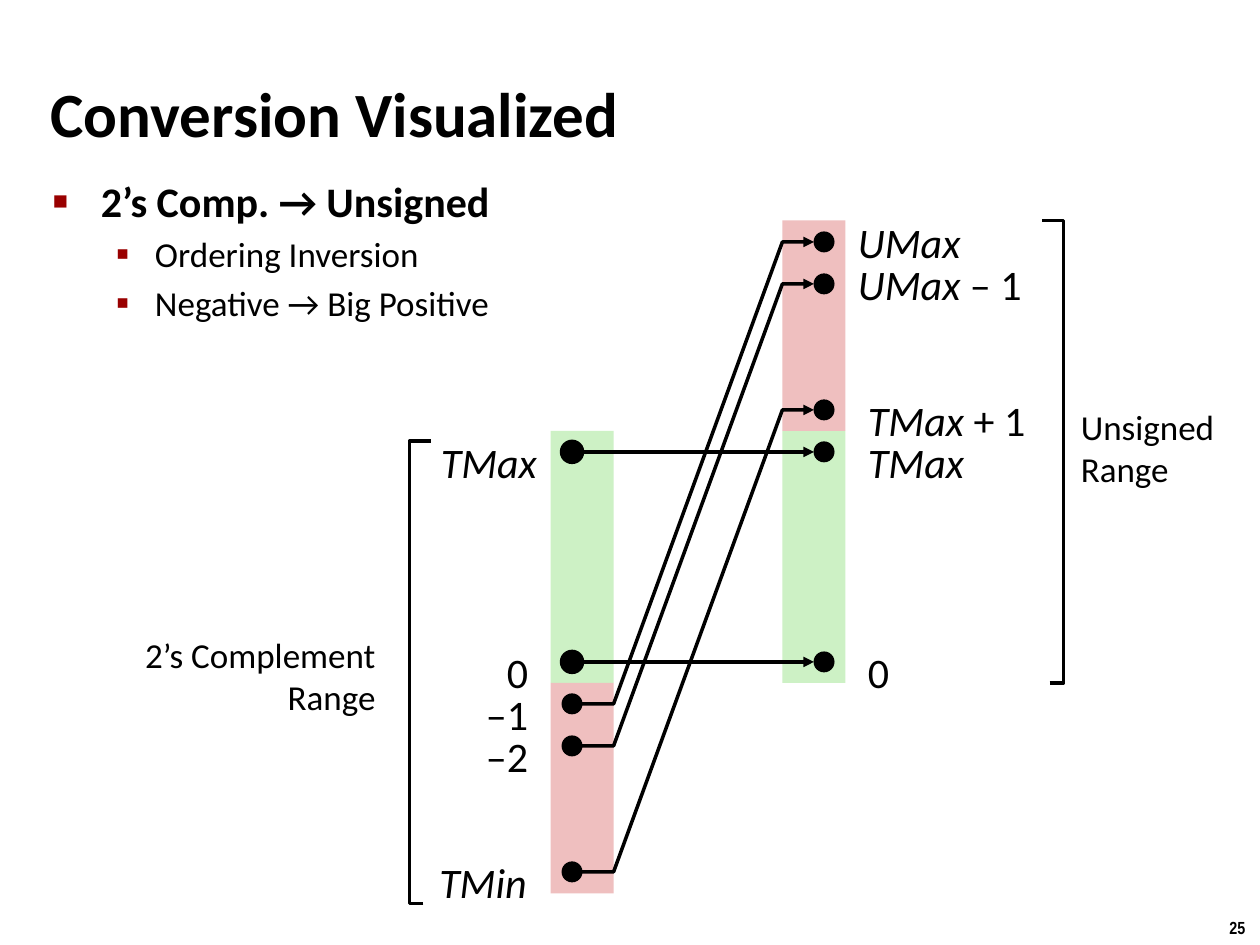
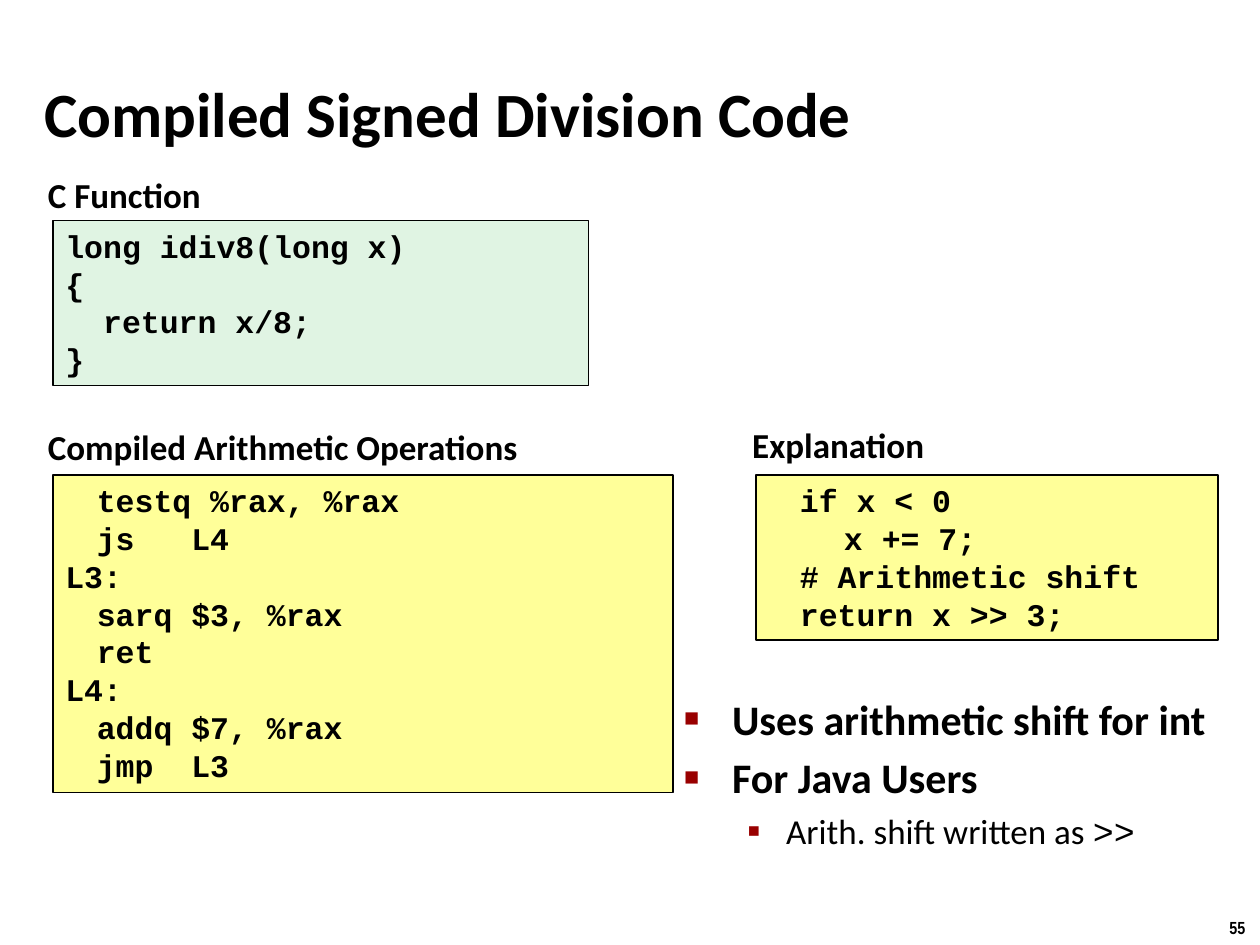
"""Build two slides on integer conversion and signed division."""
from lxml.etree import SubElement
from pptx import Presentation
from pptx.dml.color import RGBColor
from pptx.enum.shapes import MSO_CONNECTOR, MSO_SHAPE
from pptx.enum.text import MSO_ANCHOR as Anchor, MSO_AUTO_SIZE as AutoSize, PP_ALIGN as Align
from pptx.oxml.ns import qn
from pptx.util import Inches, Pt

BLACK = RGBColor(0x00, 0x00, 0x00)
BULLET_RED = RGBColor(0x99, 0x00, 0x00)
GREEN = RGBColor(0xCD, 0xF1, 0xC5)
PINK = RGBColor(0xEF, 0xBF, 0xBF)
MINT = RGBColor(0xE0, 0xF4, 0xE3)
YELLOW = RGBColor(0xFF, 0xFF, 0x99)

SANS, MONO, NARROW = "Calibri", "Courier New", "Arial Narrow"
ITALIC = {"italic": True}
LEVELS = [
    {"size": 24, "bold": True, "margin": 0.38, "hang": 0.38, "mark": "■", "scale": 60},
    {"size": 20, "bold": False, "margin": 0.81, "hang": 0.31, "mark": "▪", "scale": 110},
]


def apply(target, values):
    """Set each named attribute on the target."""
    for name, value in values.items():
        setattr(target, name, value)


class Deck:
    """Hold the shared style and the current slide."""

    def __init__(self):
        """Start an empty 10 by 7.5 inch presentation."""
        self.presentation = Presentation()
        apply(self.presentation, {"slide_width": Inches(10), "slide_height": Inches(7.5)})

    def start(self, title, left, number):
        """Add a slide with its title and page number."""
        layout = self.presentation.slide_layouts[1]
        self.slide = self.presentation.slides.add_slide(layout)
        self.shapes = self.slide.shapes
        heading = self.shapes.title
        self.place(heading, left, 0.58, 8.68, 0.63)
        apply(heading.text_frame, {"vertical_anchor": Anchor.MIDDLE, "auto_size": AutoSize.NONE})
        self.paragraphs(heading.text_frame, [title], size=36, bold=True)
        self.text([number], 9.66, 7.23, 0.34, 0.27, wrap=False, size=10, bold=True, name=NARROW)

    def place(self, shape, left, top, width, height):
        """Move and size a shape in inches."""
        apply(shape, {"left": Inches(left), "top": Inches(top),
                      "width": Inches(width), "height": Inches(height)})

    def runs(self, paragraph, parts, style):
        """Fill a paragraph with runs of (text, changes)."""
        for words, changes in [(parts, {})] if isinstance(parts, str) else parts:
            run = paragraph.add_run()
            run.text = words
            values = {"name": SANS, **style, **changes}
            apply(run.font, {**values, "size": Pt(values["size"])})
            run.font.color.rgb = BLACK

    def paragraphs(self, frame, lines, align=Align.LEFT, tab=None, **style):
        """Add one paragraph per line."""
        for index, line in enumerate(lines):
            paragraph = frame.add_paragraph() if index else frame.paragraphs[0]
            paragraph.alignment = align
            if tab:
                stops = SubElement(paragraph._p.get_or_add_pPr(), qn("a:tabLst"))
                SubElement(stops, qn("a:tab"), pos=str(Inches(tab)), algn="l")
            self.runs(paragraph, line, style)

    def text(self, lines, left, top, width, height, wrap=True, inset=None, **style):
        """Add a text box."""
        frame = self.shapes.add_textbox(
            Inches(left), Inches(top), Inches(width), Inches(height)).text_frame
        frame.word_wrap = wrap
        if inset is not None:
            sides = ("left", "top", "right", "bottom")
            apply(frame, {f"margin_{side}": Inches(inset) for side in sides})
        self.paragraphs(frame, lines, **style)

    def bullets(self, items, left, top, width, height):
        """Fill the body placeholder with (level, text) items."""
        body = self.slide.placeholders[1]
        self.place(body, left, top, width, height)
        frame = body.text_frame
        frame.auto_size = AutoSize.NONE
        for index, (level, parts) in enumerate(items):
            paragraph = frame.add_paragraph() if index else frame.paragraphs[0]
            look = LEVELS[level]
            properties = paragraph._p.get_or_add_pPr()
            properties.set("marL", str(Inches(look["margin"])))
            properties.set("indent", str(-Inches(look["hang"])))
            SubElement(SubElement(properties, qn("a:buClr")), qn("a:srgbClr"), val=str(BULLET_RED))
            SubElement(properties, qn("a:buSzPct"), val=str(look["scale"] * 1000))
            SubElement(properties, qn("a:buChar"), char=look["mark"])
            apply(paragraph, {"level": level, "space_before": Pt(look["size"] * 0.2 if index else 0)})
            self.runs(paragraph, parts, {"size": look["size"], "bold": look["bold"]})

    def shape(self, kind, color, left, top, width, height, border=0):
        """Add a filled preset shape with an optional black border."""
        shape = self.shapes.add_shape(
            kind, Inches(left), Inches(top), Inches(width), Inches(height))
        shape.shadow.inherit = False
        shape.fill.solid()
        shape.fill.fore_color.rgb = color
        if border:
            self.stroke(shape, border)
        else:
            shape.line.fill.background()
        return shape

    def stroke(self, shape, width=2, arrow=False):
        """Draw a black line, with an arrowhead if asked."""
        shape.line.color.rgb = BLACK
        shape.line.width = Pt(width)
        if arrow:
            SubElement(shape.line._get_or_add_ln(), qn("a:tailEnd"), type="triangle")

    def dot(self, center, middle, border=0):
        """Add a black dot around a point."""
        self.shape(MSO_SHAPE.OVAL, BLACK, center - 1 / 12, middle - 1 / 12, 1 / 6, 1 / 6, border)

    def arrow(self, start, end, middle):
        """Add a level arrow."""
        connector = self.shapes.add_connector(
            MSO_CONNECTOR.STRAIGHT, Inches(start), Inches(middle), Inches(end), Inches(middle))
        self.stroke(connector, arrow=True)
        SubElement(connector._element.spPr, qn("a:effectLst"))

    def outline(self, points, arrow=False):
        """Add an open bent line through the points."""
        first, *rest = [(Inches(x), Inches(y)) for x, y in points]
        builder = self.shapes.build_freeform(*first)
        builder.add_line_segments(rest, close=False)
        bent = builder.convert_to_shape()
        bent.shadow.inherit = False
        bent.fill.background()
        self.stroke(bent, arrow=arrow)

    def code(self, color, lines, left, top, width, height):
        """Add a bordered box of code."""
        box = self.shape(MSO_SHAPE.RECTANGLE, color, left, top, width, height, border=1)
        apply(box.text_frame, {"word_wrap": True, "vertical_anchor": Anchor.TOP})
        self.paragraphs(box.text_frame, lines, tab=0.25, size=18, bold=True, name=MONO)


def row(number):
    """Return the height of a value on the shared number scale."""
    return 1.92 + number / 3


def conversion(deck):
    """Build the slide that maps signed to unsigned values."""
    deck.start("Conversion Visualized", 0.3, "25")
    signed, unsigned, bar = 4.37, 6.21, 0.5
    signed_dot, unsigned_dot = 4.54, 6.54
    start, end = 4.62, 6.46
    tmax, zero, shift = 5, 10, 11

    for color, left, top, height in [(GREEN, unsigned, 3.42, 2), (GREEN, signed, 3.42, 2),
                                     (PINK, signed, 5.42, 1.67), (PINK, unsigned, 1.75, 1.67)]:
        deck.shape(MSO_SHAPE.RECTANGLE, color, left, top, bar, height)

    for kept in (zero, tmax):
        deck.dot(signed_dot, row(kept), border=2)
        deck.dot(unsigned_dot, row(kept))
        deck.arrow(start, end, row(kept))
    for negative in (11, 12, 15):
        low, high = row(negative), row(negative - shift)
        deck.dot(signed_dot, low)
        deck.dot(unsigned_dot, high)
        deck.outline([(start, low), (signed + bar, low), (unsigned, high), (end, high)], arrow=True)

    for number, parts, right in [(tmax, [("TMax", ITALIC)], 4.36), (zero, "0", 4.29),
                                 (11, "–1", 4.29), (12, "–2", 4.29),
                                 (15, [("TMin", ITALIC)], 4.28)]:
        deck.text([parts], right - 1, row(number) - 0.17, 1, 0.51, align=Align.RIGHT, size=24)
    for number, parts, left, lift in [
            (0, [("UMax", ITALIC)], 6.71, 0.25),
            (1, [("UMax", ITALIC), (" – 1", {})], 6.71, 0.25),
            (4, [("TMax ", ITALIC), ("+ 1", {})], 6.79, 0.17),
            (tmax, [("TMax", ITALIC)], 6.79, 0.17),
            (zero, "0", 6.79, 0.17)]:
        deck.text([parts], left, row(number) - lift, 1.58, 0.51, size=24)

    deck.text(["2’s Complement Range"], 0.75, 4.98, 2.33, 0.77, align=Align.RIGHT, size=20)
    deck.text(["Unsigned", "Range"], 8.48, 3.17, 1.3, 0.77, size=20)
    for spine, top, upper, lower in [(3.25, 3.5, 3.42, 3.36), (8.44, 1.75, 8.27, 8.33)]:
        bottom = top + 3.67
        deck.outline([(lower, bottom), (spine, bottom), (spine, top), (upper, top)])

    deck.bullets([(0, "2’s Comp. → Unsigned"), (1, "Ordering Inversion"),
                  (1, "Negative → Big Positive")], 0.32, 1.34, 4.55, 1.88)


def division(deck):
    """Build the slide on compiled signed division."""
    deck.start("Compiled Signed Division Code", 0.25, "55")
    deck.code(YELLOW, ["\ttestq %rax, %rax", "\tjs\tL4", "L3:", "\tsarq\t$3, %rax", "\tret",
                       "L4:", "\taddq\t$7, %rax", "\tjmp\tL3"], 0.42, 3.77, 4.92, 2.52)
    deck.code(MINT, ["long idiv8(long x)", "{", "  return x/8;", "}"], 0.42, 1.75, 4.25, 1.31)
    deck.code(YELLOW, ["\tif x < 0", "    x += 7;", "\t# Arithmetic shift",
                       "\treturn x >> 3;"], 6, 3.77, 3.67, 1.31)
    for caption, left, top, width in [("C Function", 0.33, 1.33, 1.4),
                                      ("Compiled Arithmetic Operations", 0.33, 3.33, 3.95),
                                      ("Explanation", 5.92, 3.31, 1.55)]:
        deck.text([caption], left, top, width, 0.44, inset=0.05, size=20, bold=True)
    deck.bullets([(0, "Uses arithmetic shift for int"), (0, "For Java Users"),
                  (1, [("Arith. shift written as ", {}), (">>", {"name": MONO})])],
                 5.33, 5.45, 4.67, 1.3)


def main():
    """Build and save both slides."""
    deck = Deck()
    conversion(deck)
    division(deck)
    deck.presentation.save("out.pptx")


if __name__ == "__main__":
    main()
